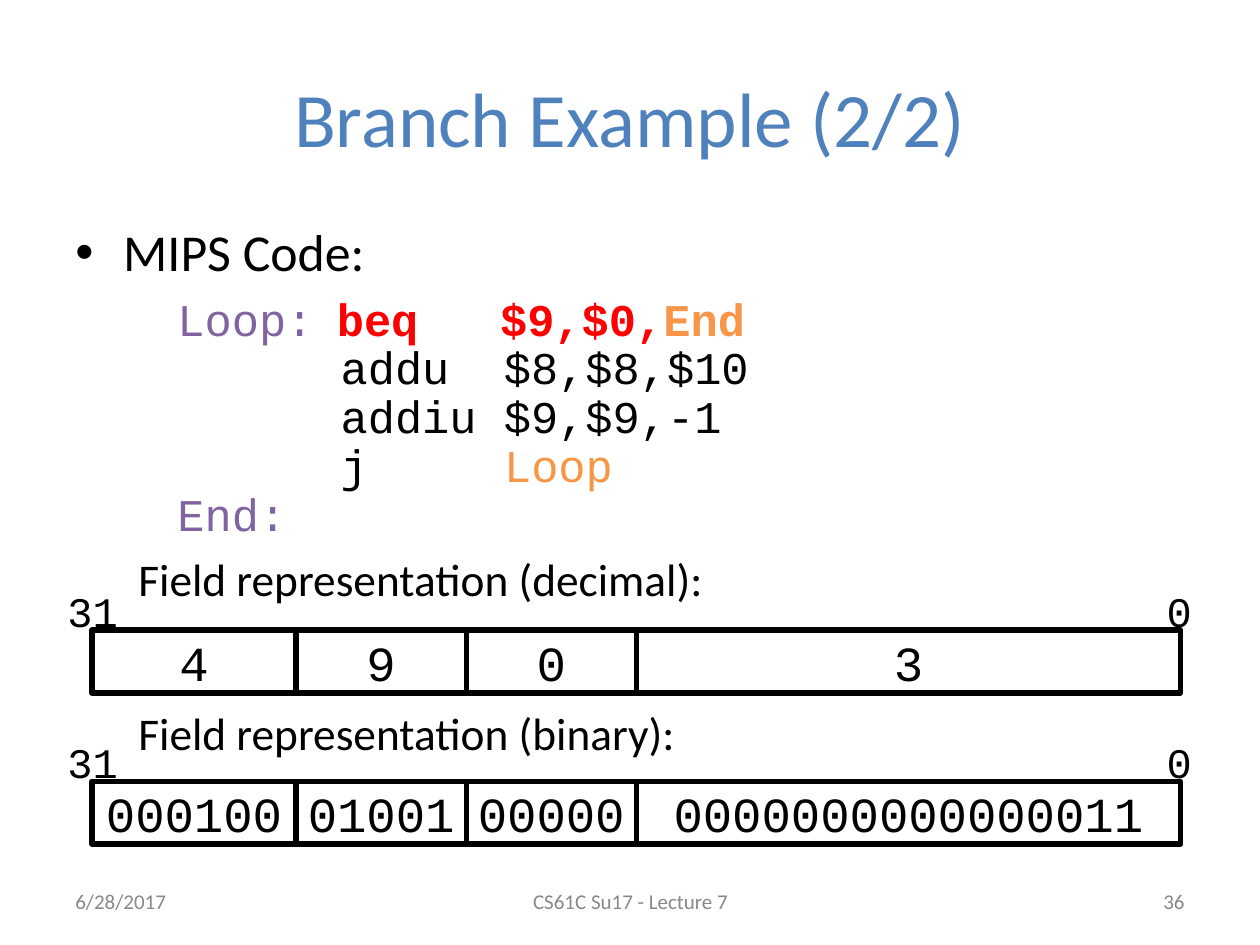
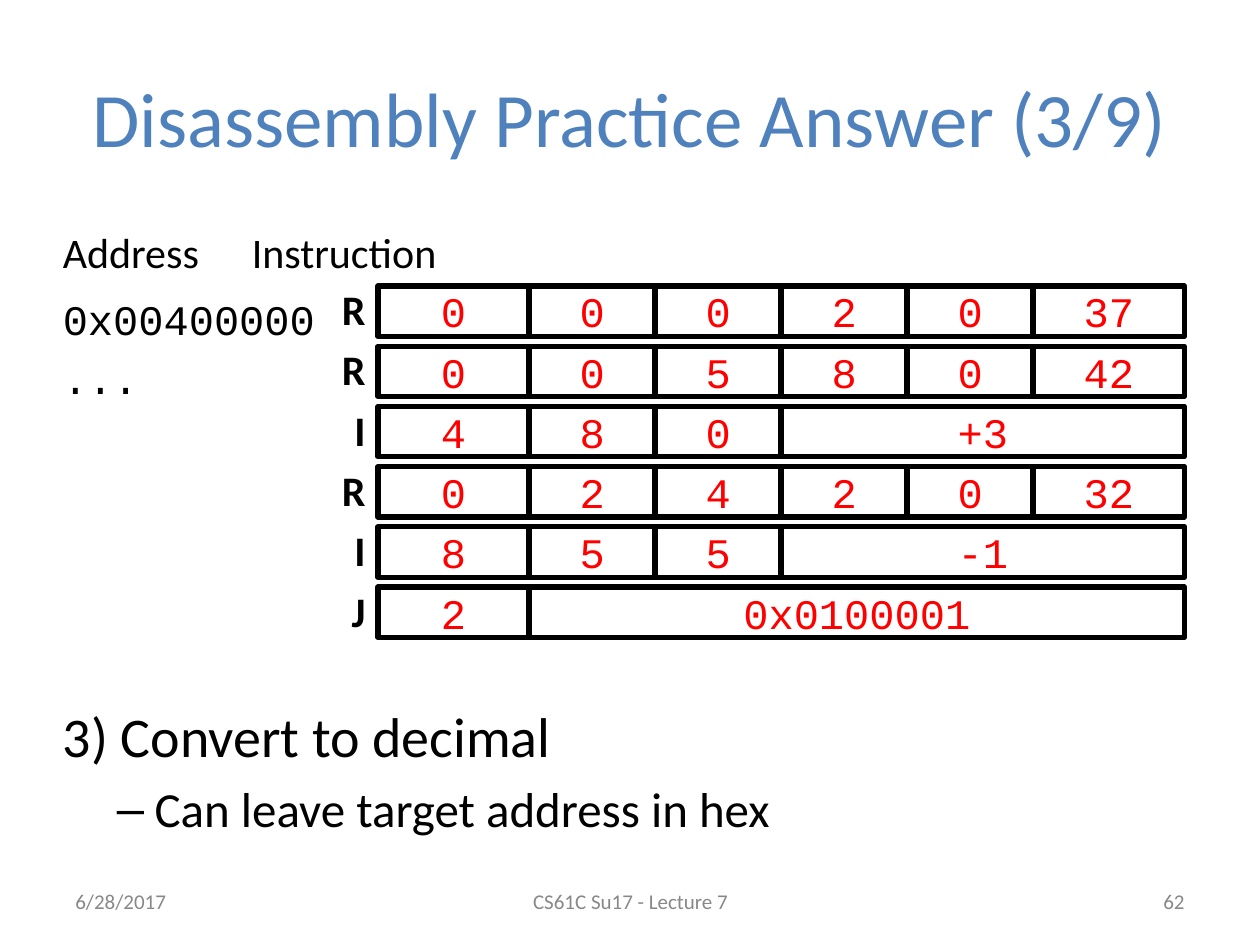
from dataclasses import dataclass

from lxml import etree
from pptx import Presentation
from pptx.dml.color import RGBColor
from pptx.enum.shapes import MSO_SHAPE
from pptx.enum.text import MSO_ANCHOR, PP_ALIGN
from pptx.oxml.ns import qn
from pptx.util import Inches, Pt

RECT = MSO_SHAPE.RECTANGLE
TOP, MID = MSO_ANCHOR.TOP, MSO_ANCHOR.MIDDLE
LEFT, CENTER, RIGHT = PP_ALIGN.LEFT, PP_ALIGN.CENTER, PP_ALIGN.RIGHT
WIDE, HIGH = Inches(10), Inches(7.5)
COL, ROW = WIDE / 100, HIGH / 75
SANS, MONO = "Calibri", "Courier New"
HUES = {"title": "4F81BD", "text": "000000", "foot": "888888",
        "label": "8064A2", "goal": "F79646", "hot": "FF0000"}
BITS = {"R": (6, 5, 5, 5, 5, 6), "I": (6, 5, 5, 16), "J": (6, 26)}


@dataclass(frozen=True)
class Box:
    """A place on the grid, in columns and rows."""
    x: float
    y: float
    w: float
    h: float


@dataclass(frozen=True)
class Run:
    """A stretch of text in one style."""
    text: str
    size: float
    hue: str = "text"
    font: str = SANS
    bold: bool = False


@dataclass(frozen=True)
class Para:
    """A paragraph with its spacing, indents, bullet and tab, in points and inches."""
    runs: tuple[Run, ...]
    align: PP_ALIGN = LEFT
    before: float = 0
    lead: float | Pt | None = None
    margin: float = 0
    hang: float = 0
    mark: str = ""
    tab: float = 0


@dataclass(frozen=True)
class Strip:
    """An instruction word whose fields are as wide as their bits."""
    kind: str
    fields: tuple[str, ...]
    x: float
    y: float
    bit: float
    h: float
    size: float
    hue: str


def style(para, spec: Para) -> None:
    """Set indents, bullet, tab, spacing and alignment."""
    props = para._p.get_or_add_pPr()
    props.set("marL", str(Inches(spec.margin)))
    props.set("indent", str(Inches(-spec.hang)))
    if spec.mark:
        etree.SubElement(props, qn("a:buFont"), typeface="Arial")
        etree.SubElement(props, qn("a:buChar"), char=spec.mark)
    if spec.tab:
        tabs = etree.SubElement(props, qn("a:tabLst"))
        etree.SubElement(tabs, qn("a:tab"), pos=str(Inches(spec.tab)), algn="l")
    para.alignment = spec.align
    if spec.before:
        para.space_before = Pt(spec.before)
    if spec.lead:
        para.line_spacing = spec.lead


def write(shape, paras: list[Para], anchor: MSO_ANCHOR, side: float) -> None:
    """Fill a shape with paragraphs, run by run."""
    frame = shape.text_frame
    frame.word_wrap = True
    frame.vertical_anchor = anchor
    frame.margin_left = frame.margin_right = Inches(side)
    frame.margin_top = frame.margin_bottom = Inches(0.05)
    for num, spec in enumerate(paras):
        para = frame.add_paragraph() if num else frame.paragraphs[0]
        style(para, spec)
        for run in spec.runs:
            for line, text in enumerate(run.text.split("\n")):
                if line:
                    para.add_line_break()
                if text:
                    part = para.add_run()
                    part.text = text
                    font = part.font
                    font.name, font.size, font.bold = run.font, Pt(run.size), run.bold
                    font.color.rgb = RGBColor.from_string(HUES[run.hue])


def place(box: Box) -> tuple[int, int, int, int]:
    """Turn grid units into slide lengths."""
    return round(box.x * COL), round(box.y * ROW), round(box.w * COL), round(box.h * ROW)


def note(slide, box: Box, paras: list[Para], anchor: MSO_ANCHOR = TOP, side: float = 0.1) -> None:
    """Add a text box."""
    write(slide.shapes.add_textbox(*place(box)), paras, anchor, side)


def draw(slide, strip: Strip) -> None:
    """Draw the fields of an instruction side by side."""
    x = strip.x
    for bits, text in zip(BITS[strip.kind], strip.fields):
        box = Box(x, strip.y, bits * strip.bit, strip.h)
        cell = slide.shapes.add_shape(RECT, *place(box))
        cell.shadow.inherit = False
        cell.fill.background()
        cell.line.color.rgb = RGBColor.from_string(HUES["text"])
        cell.line.width = Pt(3)
        write(cell, [Para((Run(text, strip.size, strip.hue, MONO),), CENTER)], MID, 0)
        x += box.w


def start(deck, title: str, page: str):
    """Add a slide with its title and footers."""
    slide = deck.slides.add_slide(deck.slide_layouts[6])
    note(slide, Box(5, 3, 90, 12.5), [Para((Run(title, 44, "title"),), CENTER)], MID)
    feet = ((5, 23.3, "6/28/2017", LEFT),
            (34.2, 31.7, "CS61C Su17 - Lecture 7", CENTER),
            (71.7, 23.3, page, RIGHT))
    for x, w, text, align in feet:
        note(slide, Box(x, 69.5, w, 4), [Para((Run(text, 12, "foot"),), align)], MID)
    return slide


def branch(deck) -> None:
    """Build the branch example."""
    slide = start(deck, "Branch Example (2/2)", "36")
    size = 25.9
    code = (
        Run("Loop:", size, "label", MONO),
        Run(" ", 22.2, "text", MONO),
        Run("beq   $9,$0,", size, "hot", MONO, True),
        Run("End\n", size, "goal", MONO, True),
        Run("      addu  $8,$8,$10\n      addiu $9,$9,-1\n      j     ", size, "text", MONO),
        Run("Loop\n", size, "goal", MONO),
        Run("End:", size, "label", MONO),
    )
    note(slide, Box(5, 17.5, 90, 54), [
        Para((Run("MIPS Code:", 29.6),), lead=0.9, margin=0.38, hang=0.38, mark="•"),
        Para(code, before=8, lead=Pt(27.85), margin=0.81),
        Para((Run("Field representation (decimal):", size),), before=10, lead=0.9, margin=0.5),
        Para((Run("Field representation (binary):", size),), before=60, lead=0.9, margin=0.5),
    ])
    words = (("4", "9", "0", "3"), ("000100", "01001", "00000", "0000000000000011"))
    for num, fields in enumerate(words):
        y = 50 + 12 * num
        draw(slide, Strip("I", fields, 7.3, y, 2.7, 5, 28, "text"))
        for x, w, text in ((4.3, 6.1, "31"), (91.6, 4, "0")):
            note(slide, Box(x, y - 4, w, 5), [Para((Run(text, 24, font=MONO),), CENTER)], side=0)


def practice(deck) -> None:
    """Build the disassembly answer."""
    slide = start(deck, "Disassembly Practice Answer (3/9)", "62")
    note(slide, Box(4, 17.5, 92, 15), [
        Para((Run("Address\tInstruction", 24),), tab=2),
        Para((Run("0x00400000", 24, font=MONO),), before=9.5),
        Para((Run("...", 24, font=MONO),), before=4.8),
    ])
    note(slide, Box(4, 55.2, 92, 13), [
        Para((Run("3) Convert to decimal", 32),)),
        Para((Run("Can leave target address in hex", 28),),
             before=5.6, margin=0.73, hang=0.3, mark="–"),
    ])
    words = (("R", ("0", "0", "0", "2", "0", "37")),
             ("R", ("0", "0", "5", "8", "0", "42")),
             ("I", ("4", "8", "0", "+3")),
             ("R", ("0", "2", "4", "2", "0", "32")),
             ("I", ("8", "5", "5", "-1")),
             ("J", ("2", "0x0100001")))
    note(slide, Box(26, 22, 4, 29.5), [
        Para((Run(kind, 24, bold=True),), RIGHT, before=5.7 if num else 0)
        for num, (kind, _) in enumerate(words)])
    for num, (kind, fields) in enumerate(words):
        draw(slide, Strip(kind, fields, 30, 22.7 + 4.78 * num, 2, 4, 24, "hot"))


def main() -> None:
    """Build and save the deck."""
    deck = Presentation()
    deck.slide_width, deck.slide_height = WIDE, HIGH
    branch(deck)
    practice(deck)
    deck.save("out.pptx")


if __name__ == "__main__":
    main()
